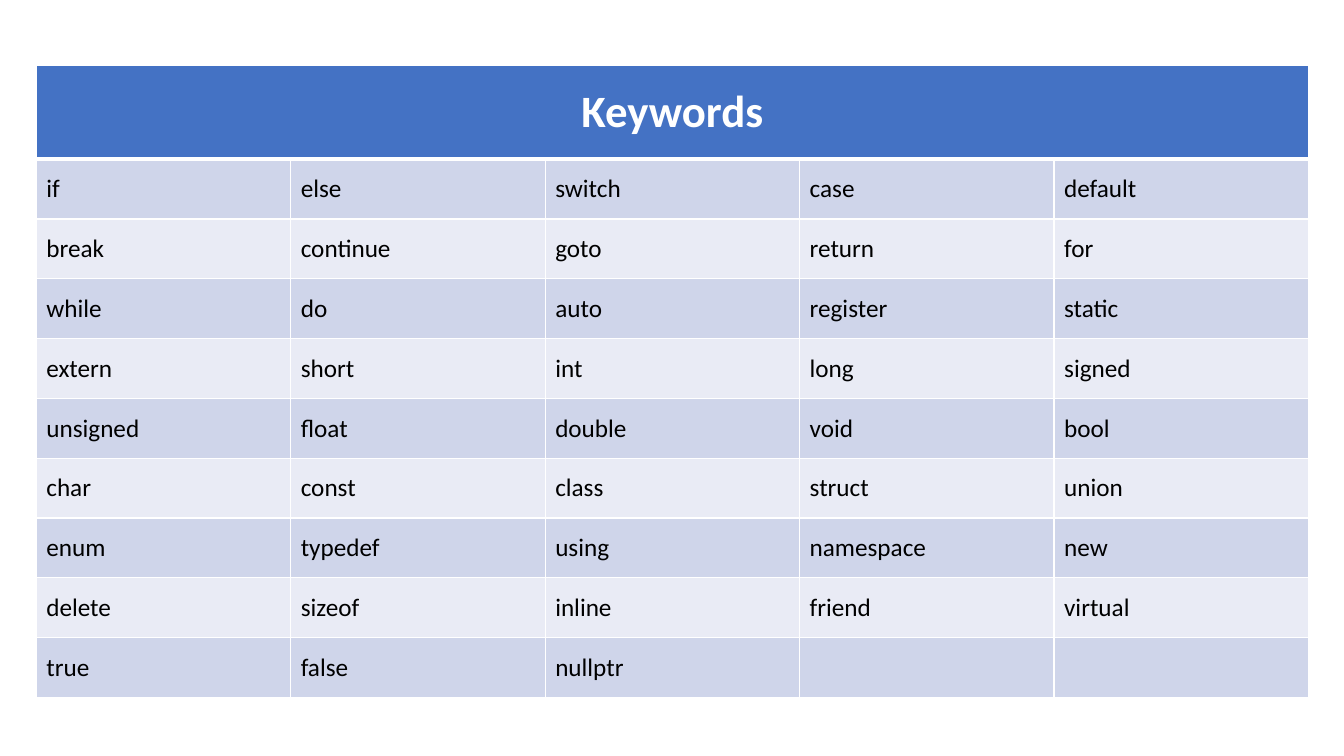
from dataclasses import dataclass

from lxml.etree import SubElement
from pptx import Presentation
from pptx.dml.color import RGBColor
from pptx.enum.text import MSO_ANCHOR, PP_ALIGN
from pptx.oxml.ns import qn
from pptx.util import Inches, Pt

HEADING = "Keywords"
KEYWORDS = [
    ("if", "else", "switch", "case", "default"),
    ("break", "continue", "goto", "return", "for"),
    ("while", "do", "auto", "register", "static"),
    ("extern", "short", "int", "long", "signed"),
    ("unsigned", "float", "double", "void", "bool"),
    ("char", "const", "class", "struct", "union"),
    ("enum", "typedef", "using", "namespace", "new"),
    ("delete", "sizeof", "inline", "friend", "virtual"),
    ("true", "false", "nullptr", "", ""),
]


@dataclass(frozen=True)
class Theme:
    font: str = "Calibri"
    heading_size: int = 32
    keyword_size: int = 18
    heading_fill: str = "4472C4"
    bands: tuple = ("CFD5EA", "E9EBF5")
    heading_text: str = "FFFFFF"
    keyword_text: str = "000000"
    rule: str = "FFFFFF"
    thin: int = 1
    thick: int = 3


THEME = Theme()
LEFT, TOP, WIDTH, HEIGHT, HEADING_HEIGHT = 0.36, 0.65, 12.62, 6.27, 0.93
HEADING_FORMAT = {"size": Pt(THEME.heading_size), "bold": True}
KEYWORD_FORMAT = {"size": Pt(THEME.keyword_size), "bold": False}


def draw_borders(cell, top, bottom):
    properties = cell._tc.get_or_add_tcPr()
    widths = {"L": THEME.thin, "R": THEME.thin, "T": top, "B": bottom}
    for side, width in widths.items():
        border = SubElement(properties, qn(f"a:ln{side}"), w=str(Pt(width)))
        paint = SubElement(border, qn("a:solidFill"))
        SubElement(paint, qn("a:srgbClr"), val=THEME.rule)


def style_cell(cell, wording, fill, color, formats):
    cell.fill.solid()
    cell.fill.fore_color.rgb = RGBColor.from_string(fill)
    cell.vertical_anchor = MSO_ANCHOR.MIDDLE
    paragraph = cell.text_frame.paragraphs[0]
    if wording:
        paragraph.text = wording
    font = paragraph.runs[0].font if wording else paragraph.font
    for attribute, value in {"name": THEME.font, **formats}.items():
        setattr(font, attribute, value)
    font.color.rgb = RGBColor.from_string(color)


def main():
    """Build the keyword table slide."""
    deck = Presentation()
    deck.slide_width, deck.slide_height = Inches(13.33), Inches(7.5)
    slide = deck.slides.add_slide(deck.slide_layouts[6])
    row_count, column_count = len(KEYWORDS) + 1, len(KEYWORDS[0])
    table = slide.shapes.add_table(
        row_count, column_count,
        Inches(LEFT), Inches(TOP), Inches(WIDTH), Inches(HEIGHT),
    ).table

    for column in table.columns:
        column.width = Inches(WIDTH / column_count)
    for index, row in enumerate(table.rows):
        keyword_height = (HEIGHT - HEADING_HEIGHT) / len(KEYWORDS)
        row.height = Inches(keyword_height if index else HEADING_HEIGHT)
        top = THEME.thick if index == 1 else THEME.thin
        bottom = THEME.thin if index else THEME.thick
        for cell in row.cells:
            draw_borders(cell, top, bottom)

    heading = table.cell(0, 0)
    heading.merge(table.cell(0, column_count - 1))
    style_cell(heading, HEADING, THEME.heading_fill, THEME.heading_text, HEADING_FORMAT)
    heading.text_frame.paragraphs[0].alignment = PP_ALIGN.CENTER

    for index, keywords in enumerate(KEYWORDS):
        band = THEME.bands[index % len(THEME.bands)]
        for column, keyword in enumerate(keywords):
            style_cell(table.cell(index + 1, column), keyword, band,
                       THEME.keyword_text, KEYWORD_FORMAT)

    deck.save("out.pptx")


if __name__ == "__main__":
    main()
